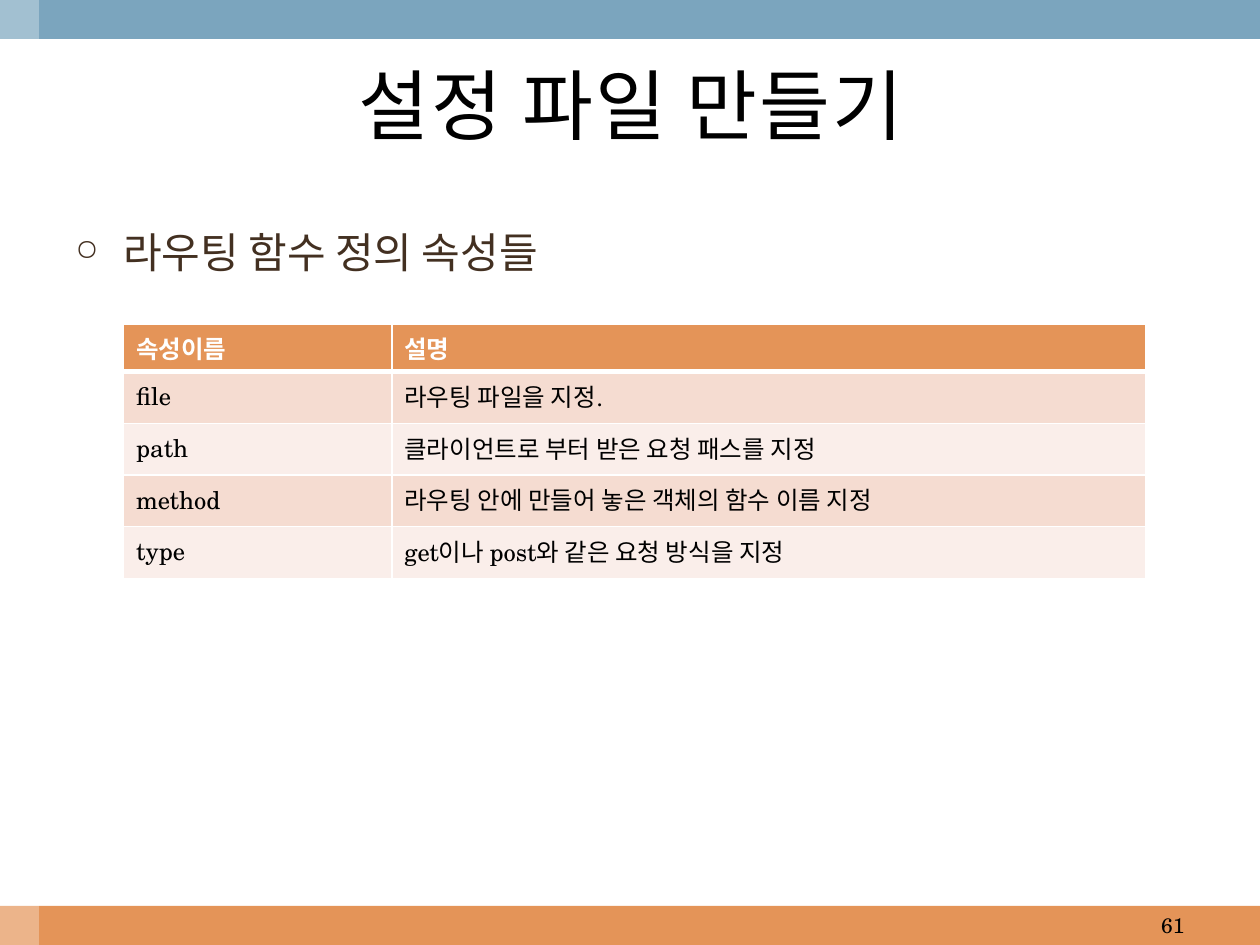
from lxml import etree
from pptx import Presentation
from pptx.dml import color
from pptx.enum import shapes, text
from pptx.oxml import ns
from pptx.util import Inches, Pt

FONT = "TeX Gyre Schola"
ORANGE, BLUE, WHITE, BLACK, BROWN = "E49458", "7BA5BE", "FFFFFF", "000000", "433021"
BANDS = ("F5DCD1", "FAEEEA")
WIDTH, HEIGHT, BAR = 10, 7.5, 0.31
ATTRIBUTES = [
    ("속성이름", "설명"),
    ("file", "라우팅 파일을 지정."),
    ("path", "클라이언트로 부터 받은 요청 패스를 지정"),
    ("method", "라우팅 안에 만들어 놓은 객체의 함수 이름 지정"),
    ("type", "get이나 post와 같은 요청 방식을 지정"),
]


def rgb(value):
    return color.RGBColor.from_string(value)


def add_element(parent, tag, **attributes):
    return etree.SubElement(parent, ns.qn(tag), attributes)


def style_font(font, size, fill, bold=False):
    font.name, font.size, font.bold = FONT, Pt(size), bold
    font.color.rgb = rgb(fill)


def add_bar(slide, box, fill):
    bar = slide.shapes.add_shape(shapes.MSO_SHAPE.RECTANGLE, *map(Inches, box))
    bar.shadow.inherit = False
    bar.fill.solid()
    bar.fill.fore_color.rgb = rgb(fill)
    bar.line.fill.background()
    return bar


def add_frame(slide):
    add_bar(slide, (0, HEIGHT - BAR, WIDTH, BAR), ORANGE)
    add_bar(slide, (0, 0, WIDTH, BAR), BLUE)
    strip = add_bar(slide, (0, 0, BAR, HEIGHT), WHITE)
    tint = strip.fill._xPr.find(".//" + ns.qn("a:srgbClr"))
    add_element(tint, "a:alpha", val="30000")


def add_text(slide, box, wording, size, fill, align, anchor):
    """Add a one-paragraph text box and return its paragraph."""
    frame = slide.shapes.add_textbox(*map(Inches, box)).text_frame
    frame.word_wrap = True
    frame.vertical_anchor = anchor
    paragraph = frame.paragraphs[0]
    paragraph.text = wording
    paragraph.alignment = align
    style_font(paragraph.runs[0].font, size, fill)
    return paragraph


def add_title(slide, box):
    paragraph = add_text(slide, box, "설정 파일 만들기", 44, BLACK,
                         text.PP_ALIGN.CENTER, text.MSO_ANCHOR.MIDDLE)
    paragraph.runs[0].font._element.set("spc", "100")


def add_bullet(slide, box):
    paragraph = add_text(slide, box, "라우팅 함수 정의 속성들", 24, BROWN,
                         text.PP_ALIGN.LEFT, text.MSO_ANCHOR.TOP)
    properties = paragraph._p.get_or_add_pPr()
    indent = Inches(0.38)
    properties.set("marL", str(indent))
    properties.set("indent", str(-indent))
    add_element(properties, "a:buSzPct", val="70000")
    add_element(properties, "a:buChar", char="○")


def add_page_number(slide, box):
    add_text(slide, box, "61", 12, BLACK, text.PP_ALIGN.RIGHT, text.MSO_ANCHOR.MIDDLE)


def add_borders(cell, top, bottom):
    """Draw white borders; they must come before the cell's fill."""
    properties = cell._tc.get_or_add_tcPr()
    for side, width in (("L", 1), ("R", 1), ("T", top), ("B", bottom)):
        line = add_element(properties, f"a:ln{side}", w=str(Pt(width)))
        add_element(add_element(line, "a:solidFill"), "a:srgbClr", val=WHITE)


def add_attribute_table(slide, box):
    table = slide.shapes.add_table(len(ATTRIBUTES), 2, *map(Inches, box)).table
    for column, width in zip(table.columns, (2.13, box[2] - 2.13)):
        column.width = Inches(width)
    for index, wordings in enumerate(ATTRIBUTES):
        header = index == 0
        table.rows[index].height = Inches(0.38 if header else 0.41)
        for cell, wording in zip(table.rows[index].cells, wordings):
            add_borders(cell, 3 if index == 1 else 1, 3 if header else 1)
            cell.fill.solid()
            cell.fill.fore_color.rgb = rgb(ORANGE if header else BANDS[(index - 1) % 2])
            cell.text_frame.text = wording
            style_font(cell.text_frame.paragraphs[0].runs[0].font, 14,
                       WHITE if header else BLACK, header)


def main():
    presentation = Presentation()
    presentation.slide_width, presentation.slide_height = Inches(WIDTH), Inches(HEIGHT)
    slide = presentation.slides.add_slide(presentation.slide_layouts[6])
    add_frame(slide)
    add_bullet(slide, (0.5, 1.75, 9, 0.66))
    add_page_number(slide, (7.17, HEIGHT - BAR, 2.33, BAR))
    add_title(slide, (0.33, BAR, 9.36, 1.03))
    add_attribute_table(slide, (0.98, 2.57, 8.11, 2.02))
    presentation.save("out.pptx")


if __name__ == "__main__":
    main()
